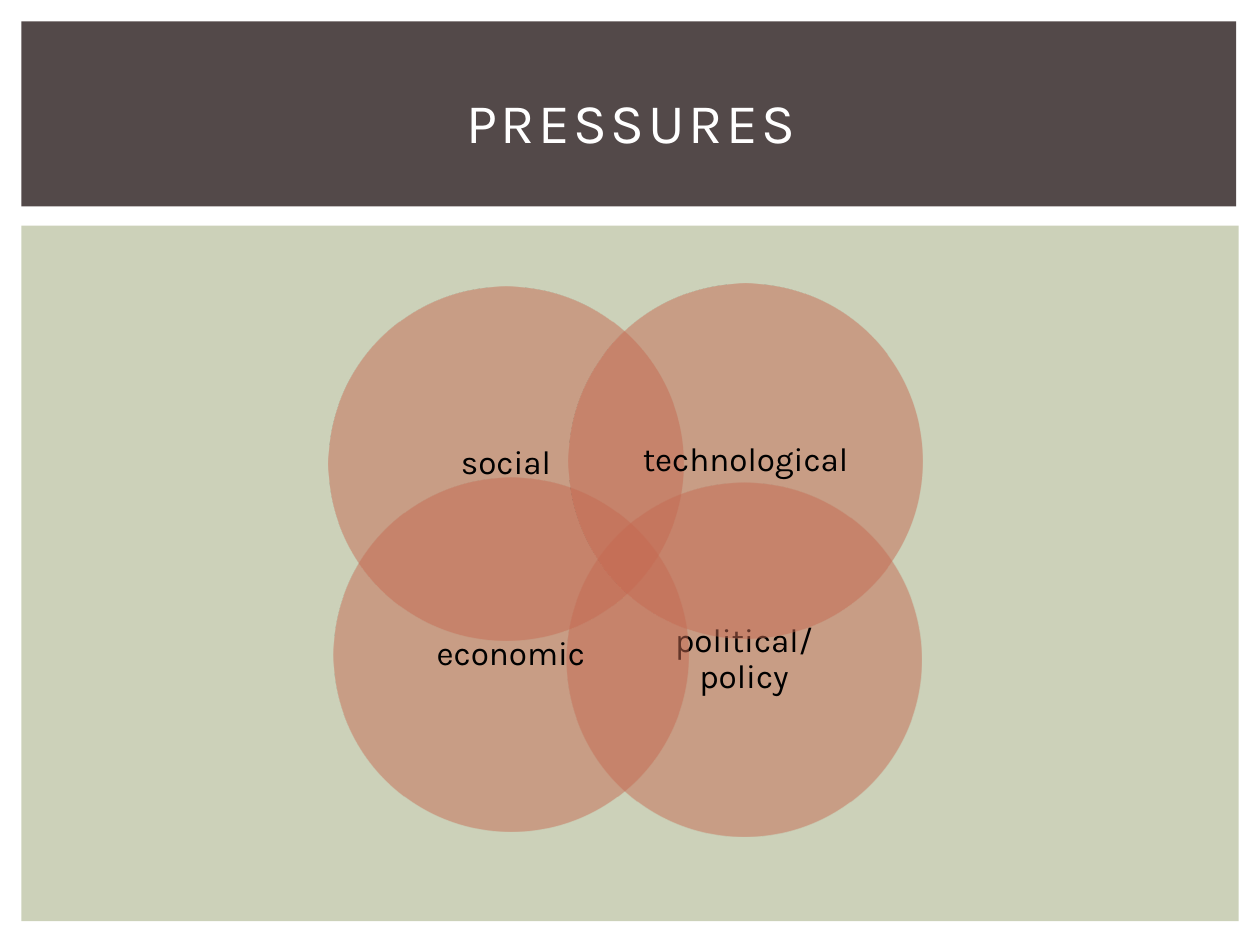
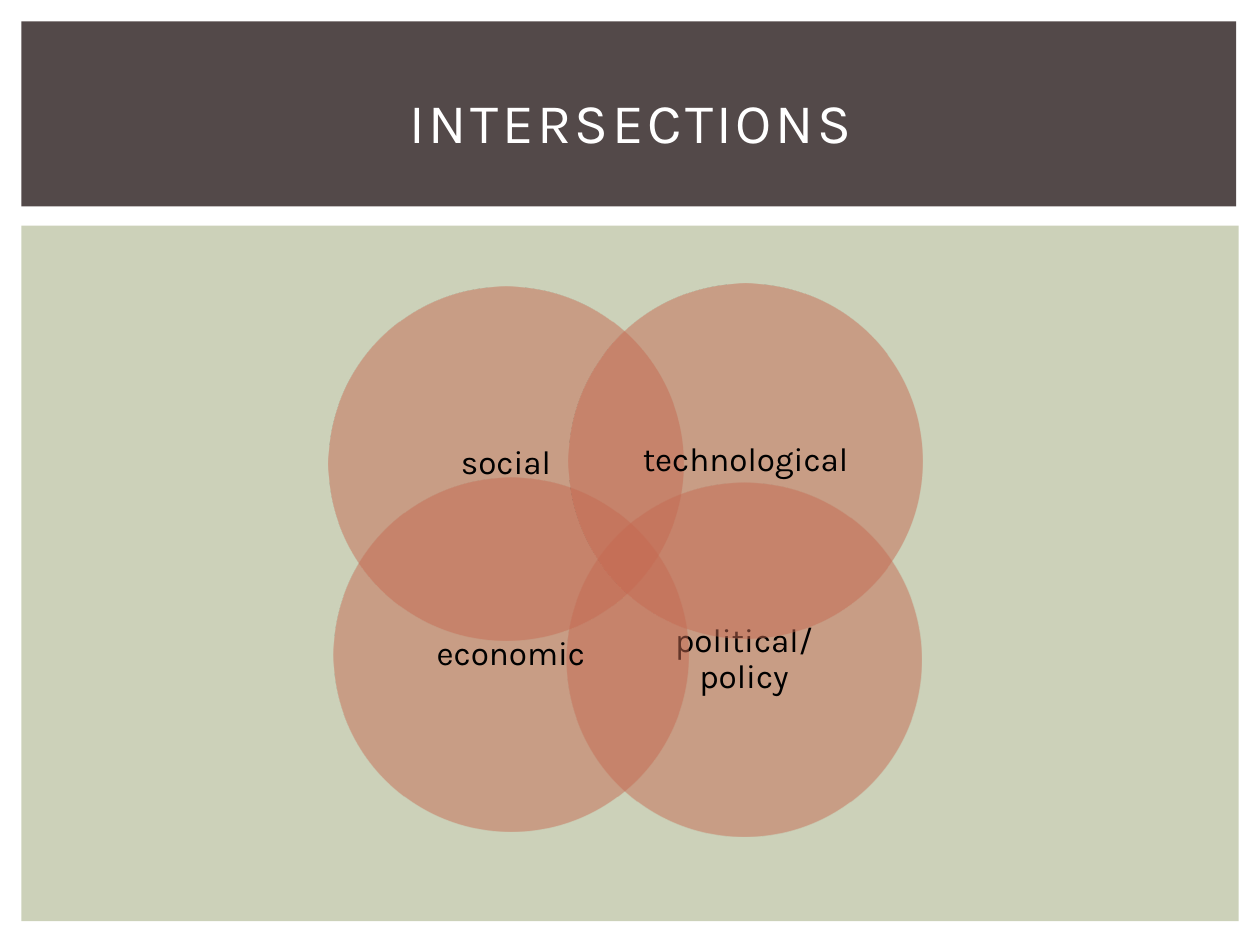
from dataclasses import dataclass
from pptx import Presentation
from pptx import util as u
from pptx.dml.color import RGBColor
from pptx.enum import shapes, text
from pptx.oxml import parse_xml
from pptx.oxml.ns import nsdecls

FONT = "Karla"
INK, WHITE, BROWN, SAGE = "000000", "FFFFFF", "534949", "CCD1B9"
STOPS = [(0, "C66951"), (90, "C66951"), (100, "B8624B")]
ALPHA = 50
SIZE, INSET = 7.14, 1.04


@dataclass
class Box:
    left: float
    top: float
    width: float
    height: float

    def cm(self) -> list:
        return [u.Cm(n) for n in (self.left, self.top, self.width, self.height)]


@dataclass
class Band:
    box: Box
    fill: str


@dataclass
class Disc:
    label: str
    left: float
    top: float


@dataclass
class Style:
    size: float
    hue: str
    frame: dict
    para: dict
    track: int = 0


BANDS = [
    Band(Box(0.43, 4.55, 24.54, 14.02), SAGE),
    Band(Box(0.43, 0.43, 24.49, 3.73), BROWN),
]
TITLE = Box(1.07, 0.99, 23.29, 2.92)
DISCS = [
    Disc("political/policy", 11.43, 9.73),
    Disc("economic", 6.73, 9.63),
    Disc("social", 6.63, 5.77),
    Disc("technological", 11.46, 5.72),
]
HEAD = Style(32, WHITE, {}, {}, 200)
LABEL = Style(
    19,
    INK,
    {
        "margin_left": u.Cm(0.38),
        "margin_right": u.Cm(0.38),
        "margin_top": u.Cm(0.08),
        "margin_bottom": u.Cm(0.08),
    },
    {"line_spacing": 0.9, "space_after": u.Pt(6.65)},
)


def color(code: str) -> RGBColor:
    return RGBColor.from_string(code)


def apply(target, values: dict) -> None:
    for name, value in values.items():
        setattr(target, name, value)


def write(tree, box: Box, words: str, style: Style) -> None:
    frame = tree.add_textbox(*box.cm()).text_frame
    middle = {"word_wrap": True, "vertical_anchor": text.MSO_ANCHOR.MIDDLE}
    apply(frame, middle | style.frame)
    para = frame.paragraphs[0]
    apply(para, {"alignment": text.PP_ALIGN.CENTER} | style.para)
    run = para.add_run()
    run.text = words
    apply(run.font, {"name": FONT, "size": u.Pt(style.size)})
    run.font.color.rgb = color(style.hue)
    if style.track:
        run.font._element.set("spc", str(style.track))


def form(tree, kind: shapes.MSO_SHAPE, box: Box):
    shape = tree.add_shape(kind, *box.cm())
    shape.shadow.inherit = False
    shape.line.fill.background()
    return shape


def shade(shape) -> None:
    stops = "".join(
        f'<a:gs pos="{spot * 1000}"><a:srgbClr val="{code}">'
        f'<a:alpha val="{ALPHA * 1000}"/></a:srgbClr></a:gs>'
        for spot, code in STOPS
    )
    fill = parse_xml(
        f'<a:gradFill {nsdecls("a")} rotWithShape="1"><a:gsLst>{stops}</a:gsLst>'
        '<a:path path="circle"><a:fillToRect l="100000" t="100000" '
        'r="100000" b="100000"/></a:path></a:gradFill>'
    )
    shape._element.spPr.prstGeom.addnext(fill)


def draw(tree, disc: Disc) -> None:
    shade(form(tree, shapes.MSO_SHAPE.OVAL, Box(disc.left, disc.top, SIZE, SIZE)))
    side = SIZE - 2 * INSET
    box = Box(disc.left + INSET, disc.top + INSET, side, side)
    write(tree, box, disc.label, LABEL)


def build(deck, title: str) -> None:
    slide = deck.slides.add_slide(deck.slide_layouts[6])
    for band in BANDS:
        shape = form(slide.shapes, shapes.MSO_SHAPE.RECTANGLE, band.box)
        shape.fill.solid()
        shape.fill.fore_color.rgb = color(band.fill)
    write(slide.shapes, TITLE, title, HEAD)
    group = slide.shapes.add_group_shape()
    for disc in DISCS:
        draw(group.shapes, disc)


def main() -> None:
    deck = Presentation()
    apply(deck, {"slide_width": u.Cm(25.4), "slide_height": u.Cm(19.05)})
    for title in ("PRESSURES", "INTERSECTIONS"):
        build(deck, title)
    deck.save("out.pptx")


if __name__ == "__main__":
    main()
